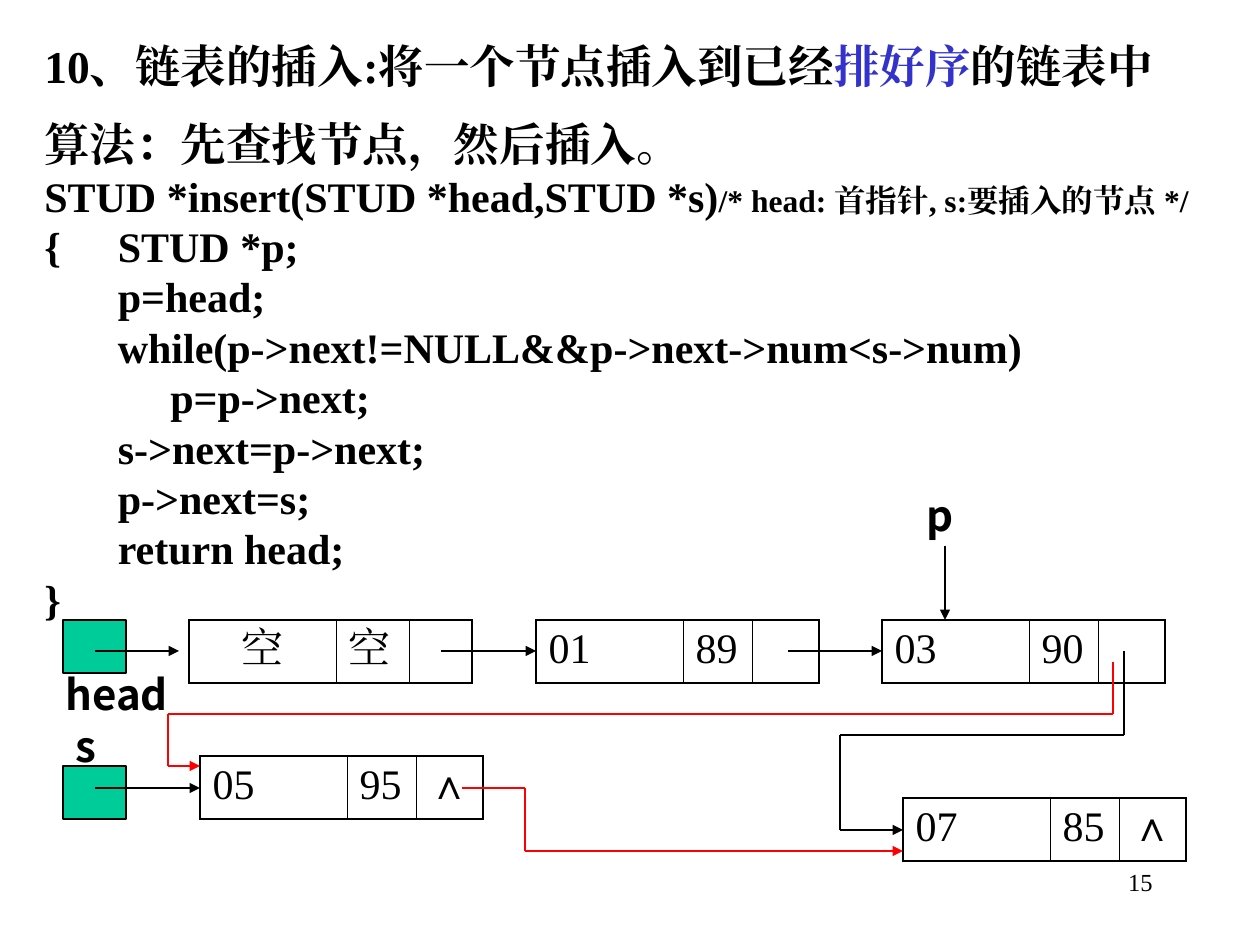
from itertools import pairwise

from lxml import etree
from pptx import Presentation
from pptx import util as u
from pptx.dml.color import RGBColor
from pptx.enum import shapes, text
from pptx.oxml.ns import qn

EMU_PER_PX = 914400 / 126
BLACK, RED, BLUE, GREEN = "000000", "FF0000", "3333CC", "00CC99"
SERIF, SANS = "Times New Roman", "Noto Sans CJK SC"


def px(n):
    return u.Emu(round(n * EMU_PER_PX))


def rgb(value):
    return RGBColor.from_string(value)


def add_run(p, content, size=24, font=SERIF, color=BLACK, bold=False):
    r = p.add_run()
    r.text = content
    r.font.size, r.font.name, r.font.bold = u.Pt(size), font, bold
    r.font.color.rgb = rgb(color)
    etree.SubElement(r.font._element, qn("a:ea"), typeface=font)


class Canvas:
    line_width = 0.75
    outer, inner = 1.08, 0.45

    def __init__(self, slide):
        self.s = slide

    def textbox(self, x, y, w, h, paragraphs, align=None, grow=True, **style):
        """Each paragraph is a list of (text, overrides) runs."""
        tf = self.s.shapes.add_textbox(px(x), px(y), px(w), px(h)).text_frame
        tf.word_wrap = True
        if grow:
            tf.auto_size = text.MSO_AUTO_SIZE.SHAPE_TO_FIT_TEXT
        for i, runs in enumerate(paragraphs):
            p = tf.add_paragraph() if i else tf.paragraphs[0]
            p.alignment = align
            for content, extra in runs:
                add_run(p, content, **(style | extra))
        return tf

    def label(self, x, y, w, content):
        self.textbox(x, y, w, 63, [[(content, {})]], font=SANS, bold=True)

    def box(self, x, y, w=63, h=53):
        sp = self.s.shapes.add_shape(shapes.MSO_SHAPE.RECTANGLE, px(x), px(y), px(w), px(h))
        sp.shadow.inherit = False
        sp.fill.solid()
        sp.fill.fore_color.rgb = rgb(GREEN)
        sp.line.color.rgb = rgb(BLACK)
        sp.line.width = u.Pt(self.line_width)

    def route(self, *points, color=BLACK):
        """Straight lines through the points, with an arrowhead at the end."""
        for (x1, y1), (x2, y2) in pairwise(points):
            c = self.s.shapes.add_connector(
                shapes.MSO_CONNECTOR.STRAIGHT, px(x1), px(y1), px(x2), px(y2))
            c.line.color.rgb = rgb(color)
            c.line.width = u.Pt(self.line_width)
            etree.SubElement(c._element.spPr, qn("a:effectLst"))
        etree.SubElement(c.line._get_or_add_ln(), qn("a:tailEnd"), type="triangle")

    def border(self, cell, side, width):
        ln = etree.SubElement(cell._tc.get_or_add_tcPr(), qn(f"a:ln{side}"),
                              w=str(u.Pt(width)))
        fill = etree.SubElement(ln, qn("a:solidFill"))
        etree.SubElement(fill, qn("a:srgbClr"), val=BLACK)

    def node(self, x, y, values, widths=(147, 69, 67)):
        """A list node: number, score and next pointer."""
        frame = self.s.shapes.add_table(1, 3, px(x), px(y), px(sum(widths)), px(63))
        table = frame.table
        table.first_row = table.horz_banding = False
        table.rows[0].height = px(63)
        for i, (value, width) in enumerate(zip(values, widths)):
            table.columns[i].width = px(width)
            cell = table.cell(0, i)
            left = self.inner if i else self.outer
            right = self.outer if i == 2 else self.inner
            for side, weight in zip("LRTB", (left, right, self.outer, self.outer)):
                self.border(cell, side, weight)
            cell.fill.background()
            if value:
                p = cell.text_frame.paragraphs[0]
                if value == "空" and i == 0:
                    p.alignment = text.PP_ALIGN.CENTER
                add_run(p, value)


def main():
    prs = Presentation()
    prs.slide_width, prs.slide_height = px(1260), px(945)
    canvas = Canvas(prs.slides.add_slide(prs.slide_layouts[6]))

    # Heading and code
    heading = {"size": 26}
    code = ["{\t STUD *p;", "\t p=head;",
            "\t while(p->next!=NULL&&p->next->num<s->num)",
            "\t\tp=p->next;", "\t s->next=p->next;", "\t p->next=s;",
            "\t return head;", "}"]
    tf = canvas.textbox(32, 32, 1187, 636, [
        [("10、链表的插入:将一个节点插入到已经", heading),
         ("排好序", heading | {"color": BLUE}), ("的链表中", heading)],
        [("算法：先查找节点，然后插入。", heading)],
        [("STUD *insert(STUD *head,STUD *s)", {}),
         ("/* head: 首指针, s:要插入的节点 */", {"size": 18})],
        *([(line, {})] for line in code),
    ], bold=True)
    tf.paragraphs[0].space_after = u.Pt(13)
    for p in tf.paragraphs[:2]:
        p.alignment = text.PP_ALIGN.JUSTIFY

    # List nodes
    canvas.node(189, 620, ("空", "空", ""), (147, 73, 63))
    canvas.node(536, 620, ("01", "89", ""))
    canvas.node(882, 620, ("03", "90", ""))
    canvas.node(903, 798, ("07", "85", "∧"))
    canvas.node(200, 756, ("05", "95", "∧"))

    # Pointer boxes and labels
    for y in (620, 766):
        canvas.box(63, y)
    canvas.label(53, 662, 158, "head")
    canvas.label(63, 714, 84, "s")
    canvas.label(914, 483, 53, "p")

    # Existing links
    canvas.route((95, 651), (179, 651))
    canvas.route((441, 651), (536, 651))
    canvas.route((788, 651), (882, 651))
    canvas.route((1124, 651), (1124, 735), (840, 735), (840, 830), (903, 830))
    canvas.route((95, 788), (200, 788))
    canvas.route((945, 546), (945, 620))

    # Links made by the insertion
    canvas.route((1113, 662), (1113, 714), (168, 714), (168, 766), (200, 766), color=RED)
    canvas.route((462, 788), (525, 788), (525, 851), (903, 851), color=RED)

    # Page number
    canvas.textbox(903, 861, 262, 63, [[("15", {})]],
                   align=text.PP_ALIGN.RIGHT, grow=False, size=14)

    prs.save("out.pptx")


if __name__ == "__main__":
    main()
